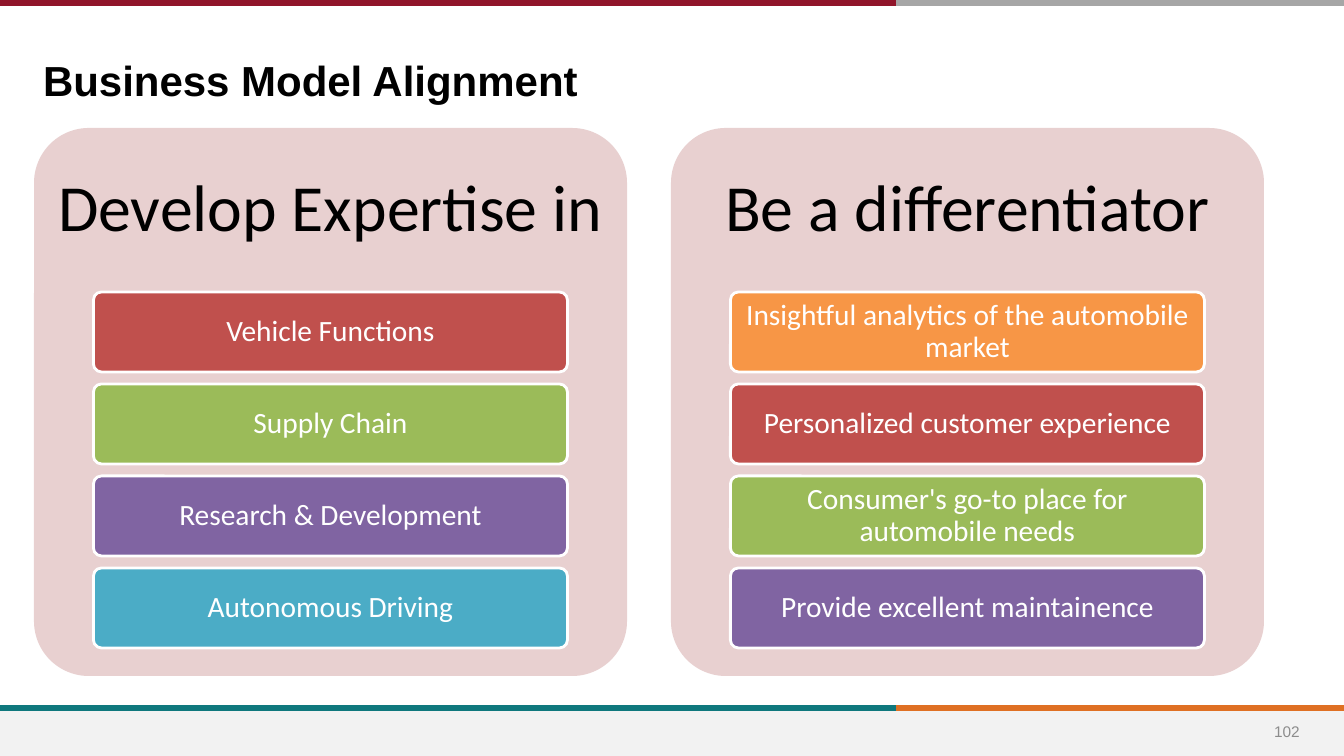
import pptx
import pptx.util
from lxml import etree
from pptx.dml.color import RGBColor
from pptx.enum.shapes import MSO_CONNECTOR, MSO_SHAPE
from pptx.enum.text import MSO_ANCHOR, PP_ALIGN
from pptx.oxml.ns import qn

TITLE = "Business Model Alignment"
PAGE_NUMBER = "102"
PANELS = [
    ("Develop Expertise in", [
        ("Vehicle Functions", "red"),
        ("Supply Chain", "green"),
        ("Research & Development", "purple"),
        ("Autonomous Driving", "blue"),
    ]),
    ("Be a differentiator", [
        ("Insightful analytics of the automobile market", "orange"),
        ("Personalized customer experience", "red"),
        ("Consumer's go-to place for automobile needs", "green"),
        ("Provide excellent maintainence", "purple"),
    ]),
]
COLOURS = {
    "black": "000000", "white": "FFFFFF", "panel": "E8D0D0",
    "red": "C0504D", "green": "9BBB59", "purple": "8064A2",
    "blue": "4BACC6", "orange": "F79646",
    "footer": "F2F2F2", "number": "8C8C8C",
    "maroon": "90152A", "grey": "A6A6A6", "teal": "0F787D", "rust": "DF7023",
}

# All lengths in px
SLIDE_WIDTH, SLIDE_HEIGHT = 1344, 756
RULE_SPLIT = 896
RULES = [(3, "maroon", "grey"), (708, "teal", "rust")]
FOOTER_TOP = 711
PANEL_LEFT, PANEL_TOP, PANEL_STEP = 34, 128, 637
PANEL_WIDTH, PANEL_HEIGHT, HEADING_HEIGHT = 593, 548, 164
CARD_WIDTH, CARD_HEIGHT, CARD_STEP = 474, 80, 92

TITLE_FONT = {"name": "Arial", "size": pptx.util.Pt(30), "bold": True}
NUMBER_FONT = {"name": "Arial", "size": pptx.util.Pt(11)}
HEADING_FONT = {"name": "Calibri", "size": pptx.util.Pt(47)}
CARD_FONT = {"name": "Calibri", "size": pptx.util.Pt(21)}
CENTRED = {"alignment": PP_ALIGN.CENTER}
TIGHT = {"alignment": PP_ALIGN.CENTER, "line_spacing": 0.9}


def px(length):
    return pptx.util.Emu(round(length * 914400 / 100.8))


def colour(name):
    return RGBColor.from_string(COLOURS[name])


def set_all(target, values):
    for name, value in values.items():
        setattr(target, name, value)


def write(shape, text, font, ink, layout, insets=(0, 0), anchor=MSO_ANCHOR.MIDDLE):
    """Put one formatted paragraph in a shape; insets are (sides, top and bottom)."""
    frame = shape.text_frame
    sides, ends = map(px, insets)
    set_all(frame, {
        "word_wrap": True, "vertical_anchor": anchor,
        "margin_left": sides, "margin_right": sides,
        "margin_top": ends, "margin_bottom": ends,
    })
    para = frame.paragraphs[0]
    set_all(para, layout)
    span = para.add_run()
    span.text = text
    set_all(span.font, font)
    span.font.color.rgb = colour(ink)


def add_box(page, kind, place, fill, outline=None):
    box = page.shapes.add_shape(kind, *map(px, place))
    box.shadow.inherit = False
    box.fill.solid()
    box.fill.fore_color.rgb = colour(fill)
    if outline:
        box.line.color.rgb = colour(outline)
        box.line.width = pptx.util.Pt(2)
    else:
        box.line.fill.background()
    if kind == MSO_SHAPE.ROUNDED_RECTANGLE:
        box.adjustments[0] = 0.1
    return box


def add_text(page, place, *content, **options):
    write(page.shapes.add_textbox(*map(px, place)), *content, **options)


def add_rule(page, left, right, top, ink):
    rule = page.shapes.add_connector(
        MSO_CONNECTOR.STRAIGHT, px(left), px(top), px(right), px(top))
    rule.line.color.rgb = colour(ink)
    rule.line.width = pptx.util.Pt(4)
    etree.SubElement(rule._element.spPr, qn("a:effectLst"))


def add_panel(page, left, heading, cards):
    add_box(page, MSO_SHAPE.ROUNDED_RECTANGLE,
            (left, PANEL_TOP, PANEL_WIDTH, PANEL_HEIGHT), "panel")
    add_text(page, (left, PANEL_TOP, PANEL_WIDTH, HEADING_HEIGHT),
             heading, HEADING_FONT, "black", TIGHT, insets=(20, 20))
    card_left = left + (PANEL_WIDTH - CARD_WIDTH) / 2
    for row, (text, fill) in enumerate(cards):
        top = PANEL_TOP + HEADING_HEIGHT + row * CARD_STEP
        card = add_box(page, MSO_SHAPE.ROUNDED_RECTANGLE,
                       (card_left, top, CARD_WIDTH, CARD_HEIGHT), fill, "white")
        write(card, text, CARD_FONT, "white", TIGHT, insets=(6, 4))


def main():
    deck = pptx.Presentation()
    deck.slide_width, deck.slide_height = px(SLIDE_WIDTH), px(SLIDE_HEIGHT)
    page = deck.slides.add_slide(deck.slide_layouts[6])

    add_box(page, MSO_SHAPE.RECTANGLE,
            (0, FOOTER_TOP, SLIDE_WIDTH, SLIDE_HEIGHT - FOOTER_TOP), "footer")
    for top, left_ink, right_ink in RULES:
        add_rule(page, RULE_SPLIT, SLIDE_WIDTH, top, right_ink)
        add_rule(page, 0, RULE_SPLIT, top, left_ink)
    add_text(page, (1252, FOOTER_TOP, 70, 40),
             PAGE_NUMBER, NUMBER_FONT, "number", CENTRED)
    add_text(page, (33, 46, 1074, 59), TITLE, TITLE_FONT, "black",
             {"alignment": PP_ALIGN.LEFT}, insets=(10, 0), anchor=MSO_ANCHOR.BOTTOM)

    for column, (heading, cards) in enumerate(PANELS):
        add_panel(page, PANEL_LEFT + column * PANEL_STEP, heading, cards)
    deck.save("out.pptx")


if __name__ == "__main__":
    main()
